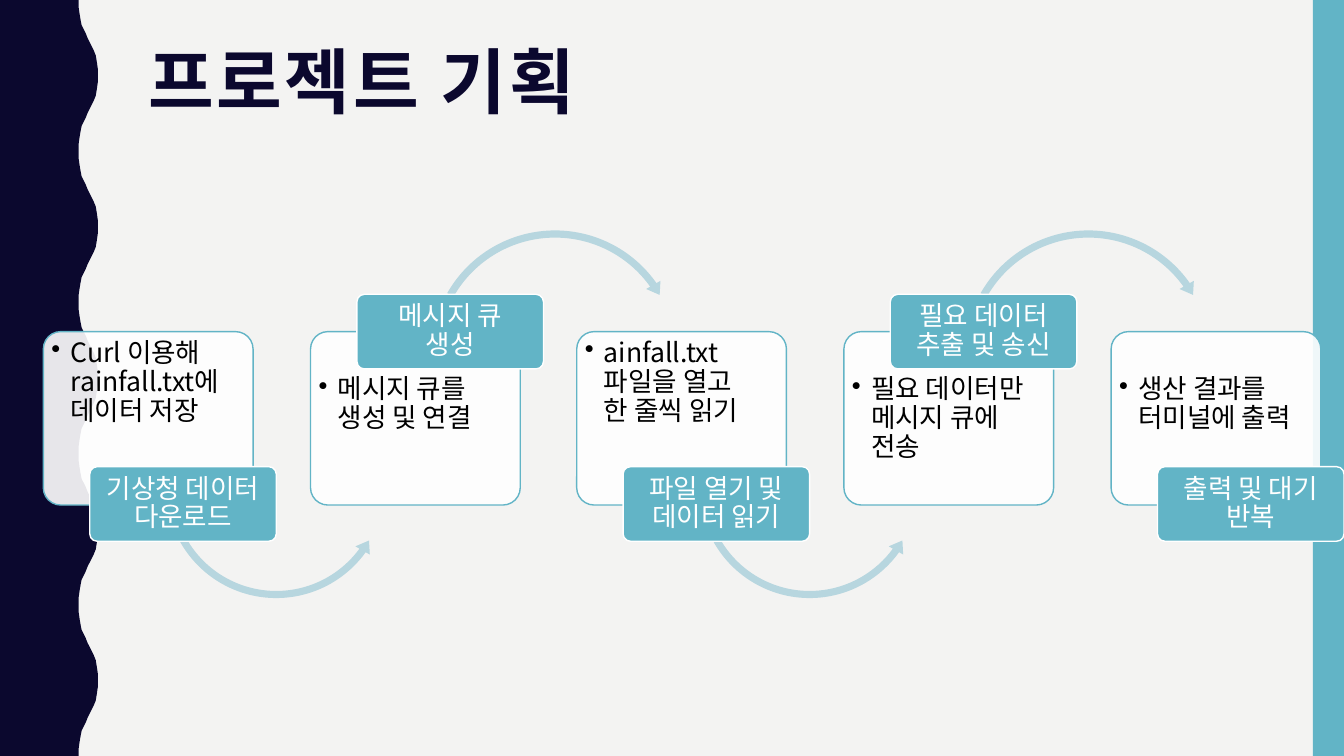
import pptx
import pptx.dml.color
import pptx.enum.shapes
import pptx.enum.text
import pptx.oxml.ns
import pptx.util
from lxml import etree

PX = 9144  # 100 px to the inch
SLIDE_WIDTH, SLIDE_HEIGHT = 1333, 750
THEME = {
    "background": "F3F3F2", "navy": "0B082E", "teal": "62B4C6",
    "arrow": "B7D6DF", "white": "FFFFFF", "black": "000000",
    "title_font": "Roboto Condensed", "body_font": "Noto Sans CJK KR",
    "title_size": 51, "body_size": 19,
}
SHAPES = pptx.enum.shapes.MSO_SHAPE
ALIGN = pptx.enum.text.PP_ALIGN
ANCHOR = pptx.enum.text.MSO_ANCHOR
qn = pptx.oxml.ns.qn


def paint(shape, fill, line=None):
    shape.shadow.inherit = False
    shape.fill.solid()
    shape.fill.fore_color.rgb = pptx.dml.color.RGBColor.from_string(THEME[fill])
    if line:
        shape.line.color.rgb = pptx.dml.color.RGBColor.from_string(THEME[line])
        shape.line.width = pptx.util.Pt(1)
    else:
        shape.line.fill.background()


def write(shape, text, margins, color, font="body_font", size="body_size",
          align=ALIGN.LEFT, anchor=ANCHOR.TOP, bold=False, spacing=0, bullet=False):
    """Fill a shape with one paragraph; margins are left, top, right, bottom in px."""
    frame = shape.text_frame
    frame.word_wrap = True
    frame.vertical_anchor = anchor
    frame.margin_left, frame.margin_top, frame.margin_right, frame.margin_bottom = (
        margin * PX for margin in margins)
    paragraph = frame.paragraphs[0]
    paragraph.text = text
    paragraph.alignment = align
    paragraph.line_spacing = 0.9
    if bullet:
        properties = paragraph._p.get_or_add_pPr()
        properties.set("marL", str(19 * PX))
        properties.set("indent", str(-19 * PX))
        etree.SubElement(properties, qn("a:buChar"), char="•")
    for run in paragraph.runs:
        run.font.name = THEME[font]
        run.font.size = pptx.util.Pt(THEME[size])
        run.font.bold = bold
        run.font.color.rgb = pptx.dml.color.RGBColor.from_string(THEME[color])
        run_properties = run._r.get_or_add_rPr()
        run_properties.set("spc", str(spacing * 100))
        etree.SubElement(run_properties, qn("a:ea"), typeface=THEME[font])


presentation = pptx.Presentation()
presentation.slide_width = SLIDE_WIDTH * PX
presentation.slide_height = SLIDE_HEIGHT * PX
slide = presentation.slides.add_slide(presentation.slide_layouts[6])
slide.background.fill.solid()
slide.background.fill.fore_color.rgb = pptx.dml.color.RGBColor.from_string(
    THEME["background"])
shapes = slide.shapes

# Wavy left band: half a wave, mirrored, repeated down the slide
WAVE_PERIOD = 150
half_wave = [(78, 0), (78, 7), (79, 14), (80, 20), (81, 25), (83, 29), (85, 33),
             (87, 38), (89, 42), (91, 46), (93, 50), (95, 55), (96, 61), (97, 68),
             (97, 75)]
wave = half_wave + [(x, WAVE_PERIOD - y) for x, y in reversed(half_wave[:-1])]
edge = [(x, top + y) for top in range(0, SLIDE_HEIGHT, WAVE_PERIOD) for x, y in wave]
builder = shapes.build_freeform(0, 0, scale=PX)
builder.add_line_segments(edge + [(0, SLIDE_HEIGHT)], close=True)
paint(builder.convert_to_shape(), "navy")

right_band = shapes.add_shape(SHAPES.RECTANGLE, 1302 * PX, 0, 31 * PX, SLIDE_HEIGHT * PX)
paint(right_band, "teal")

title = shapes.add_textbox(137 * PX, 42 * PX, 1113 * PX, 163 * PX)
write(title, "프로젝트 기획", (10, 5, 10, 5), "navy", font="title_font",
      size="title_size", bold=True, spacing=2)

# Each step: description, its top margin in the card, label
steps = [
    ("Curl 이용해 rainfall.txt에 데이터 저장", 3, "기상청 데이터 다운로드"),
    ("메시지 큐를 생성 및 연결", 39, "메시지 큐\n생성"),
    ("ainfall.txt\n파일을 열고\n한 줄씩 읽기", 3, "파일 열기 및 데이터 읽기"),
    ("필요 데이터만 메시지 큐에 전송", 39, "필요 데이터 추출 및 송신"),
    ("생산 결과를 터미널에 출력", 39, "출력 및 대기 반복"),
]
# Even steps have the label below the card, odd steps above it:
# label top, arrow shape, arrow offset, arrow top, arrow size, arrow adjustments
layouts = [
    (463, SHAPES.LEFT_CIRCULAR_ARROW, 117, 370, 228,
     (0.031, 3.809, 21.564, 90.245, 0.036)),
    (292, SHAPES.CIRCULAR_ARROW, 115, 224, 255,
     (0.028, 3.386, 194.859, 125.755, 0.032)),
]
for index, (description, top_margin, label_text) in enumerate(steps):
    label_top, arrow_kind, arrow_offset, arrow_top, arrow_size, bends = layouts[index % 2]
    left = round(43 + 264.75 * index)

    card = shapes.add_shape(SHAPES.ROUNDED_RECTANGLE,
                            left * PX, 329 * PX, 208 * PX, 172 * PX)
    card.adjustments[0] = 0.1
    paint(card, "white", "teal")
    card_color = card._element.spPr.find(qn("a:solidFill")).find(qn("a:srgbClr"))
    etree.SubElement(card_color, qn("a:alpha"), val="90000")
    write(card, description, (3, top_margin, 3, 3), "black", bullet=True)

    if index < len(steps) - 1:
        arrow = shapes.add_shape(arrow_kind, (left + arrow_offset) * PX, arrow_top * PX,
                                 arrow_size * PX, arrow_size * PX)
        for number, bend in enumerate(bends):
            arrow.adjustments[number] = bend
        paint(arrow, "arrow")

    label = shapes.add_shape(SHAPES.ROUNDED_RECTANGLE,
                             (left + 46) * PX, label_top * PX, 185 * PX, 74 * PX)
    label.adjustments[0] = 0.1
    paint(label, "teal", "white")
    write(label, label_text, (4, 3, 4, 3), "white",
          align=ALIGN.CENTER, anchor=ANCHOR.MIDDLE)

presentation.save("out.pptx")
